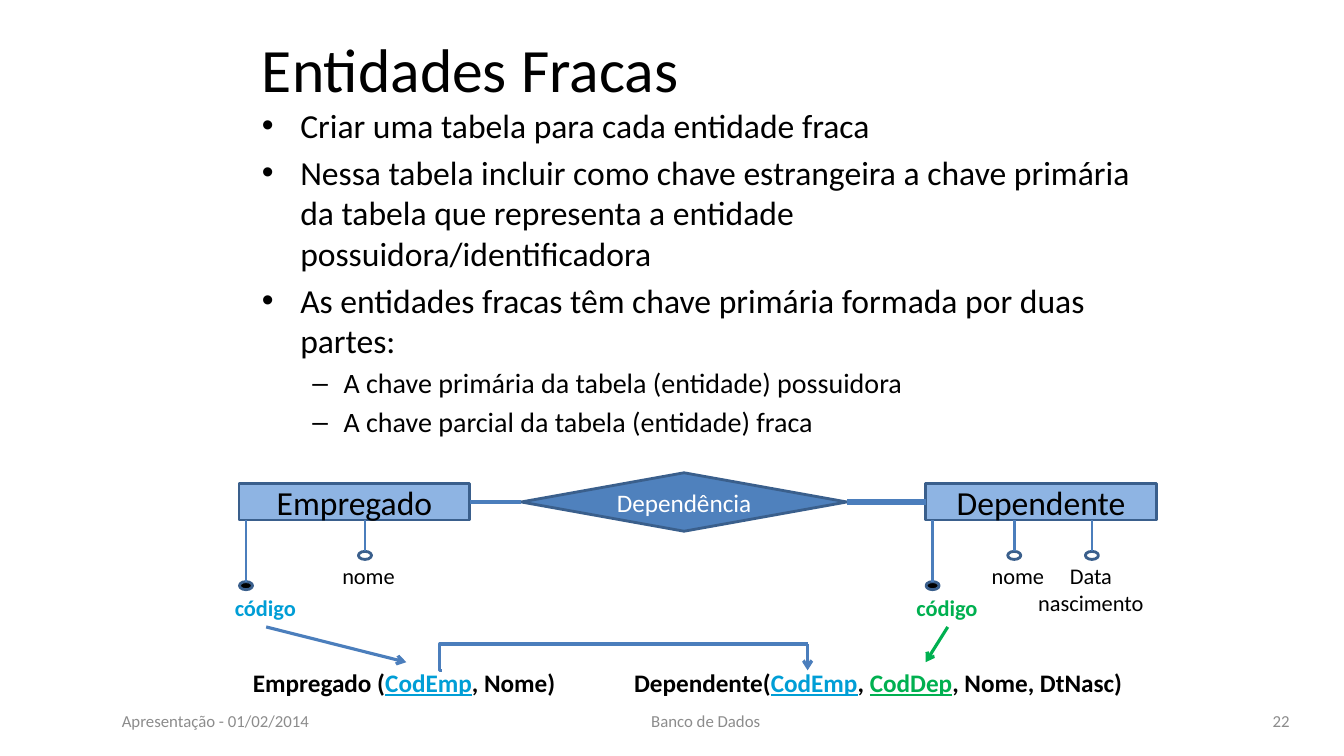
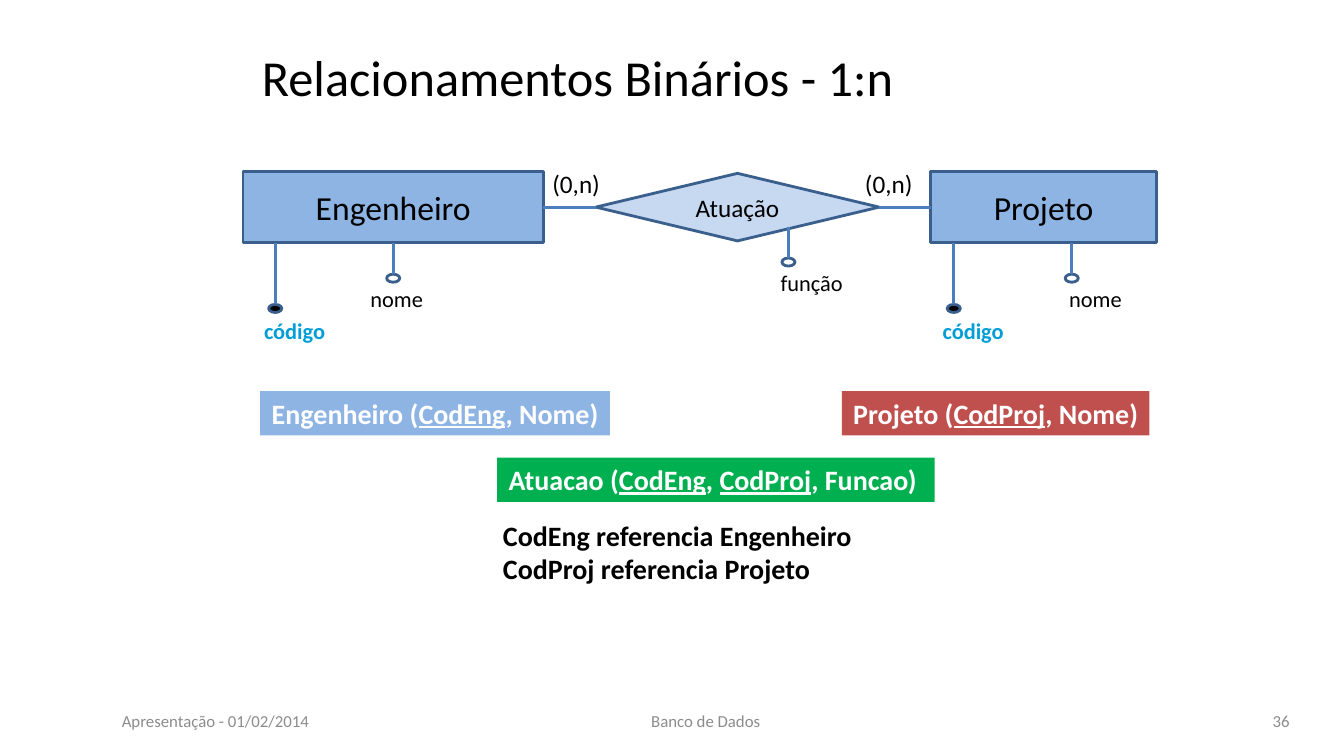
from dataclasses import dataclass

from lxml import etree
from pptx import Presentation
from pptx.dml.color import RGBColor
from pptx.enum.shapes import MSO_CONNECTOR, MSO_SHAPE
from pptx.enum.text import MSO_ANCHOR, MSO_AUTO_SIZE, PP_ALIGN
from pptx.oxml.ns import qn
from pptx.util import Inches, Pt

LEFT, CENTER, RIGHT = PP_ALIGN.LEFT, PP_ALIGN.CENTER, PP_ALIGN.RIGHT
MIDDLE, TOP = MSO_ANCHOR.MIDDLE, MSO_ANCHOR.TOP
RECT, DIAMOND = MSO_SHAPE.RECTANGLE, MSO_SHAPE.DIAMOND
DECISION, DOT = MSO_SHAPE.FLOWCHART_DECISION, MSO_SHAPE.FLOWCHART_CONNECTOR
STRAIGHT, ELBOW = MSO_CONNECTOR.STRAIGHT, MSO_CONNECTOR.ELBOW
FIT_TEXT = MSO_AUTO_SIZE.SHAPE_TO_FIT_TEXT
SITE_TOP, SITE_LEFT, SITE_RIGHT = 0, 1, 3


@dataclass(frozen=True)
class Theme:
    font: str = "Calibri"
    black: str = "000000"
    white: str = "FFFFFF"
    gray: str = "8C8C8C"
    entity: str = "8EB4E3"
    relation: str = "4F81BD"
    pale: str = "C6D9F1"
    outline: str = "3A5F8C"
    link: str = "4B7EBC"
    key: str = "009ED6"
    green: str = "00B050"
    red: str = "C0504D"
    title_size: int = 44
    long_title_size: int = 36
    body_size: int = 24
    sub_size: int = 20
    label_size: int = 18
    attribute_size: int = 16
    footer_size: int = 12
    thin: float = 2
    medium: float = 2.25
    thick: float = 4.5


class Deck:
    def __init__(self, theme):
        self.t = theme
        self.prs = Presentation()
        self.prs.slide_width = Inches(13.33)
        self.prs.slide_height = Inches(7.5)
        self.s = None

    def new_slide(self, title, number, box, size):
        self.s = self.prs.slides.add_slide(self.prs.slide_layouts[6])
        self.text(box, [title], size, anchor=MIDDLE, wrap=True)
        footers = [(1.11, 3.11, "Apresentação - 01/02/2014", LEFT),
                   (4.89, 4.22, "Banco de Dados", CENTER),
                   (9.78, 3.11, str(number), RIGHT)]
        for x, w, words, align in footers:
            self.text((x, 6.95, w, 0.4), [words], self.t.footer_size, self.t.gray,
                      align=align, anchor=MIDDLE, wrap=True)

    def add_run(self, p, words, size, color):
        r = p.add_run()
        r.text = words
        r.font.name = self.t.font
        r.font.size = Pt(size)
        r.font.color.rgb = RGBColor.from_string(color)
        return r

    def fill_text(self, tf, paragraphs, size, color, bold=False, align=LEFT):
        """A paragraph is a string or a list of runs; a (text, color) run is underlined."""
        for i, runs in enumerate(paragraphs):
            p = tf.paragraphs[0] if i == 0 else tf.add_paragraph()
            p.alignment = align
            for run in [runs] if isinstance(runs, str) else runs:
                plain = isinstance(run, str)
                words, run_color = (run, color) if plain else run
                r = self.add_run(p, words, size, run_color)
                r.font.bold = bold
                r.font.underline = not plain

    def text(self, box, paragraphs, size, color=None, bold=False, align=LEFT,
             anchor=TOP, wrap=False):
        tf = self.s.shapes.add_textbox(*map(Inches, box)).text_frame
        tf.word_wrap = wrap
        tf.vertical_anchor = anchor
        if not wrap:
            tf.auto_size = FIT_TEXT
        self.fill_text(tf, paragraphs, size, color or self.t.black, bold, align)
        return tf

    def bullets(self, box, items):
        """Each item is (level, text)."""
        levels = [(self.t.body_size, "•", 0.38, -0.38),
                  (self.t.sub_size, "–", 0.81, -0.31)]
        tf = self.text(box, [], self.t.body_size, wrap=True)
        for i, (level, words) in enumerate(items):
            size, mark, margin, indent = levels[level]
            p = tf.paragraphs[0] if i == 0 else tf.add_paragraph()
            p.level = level
            p.space_before = Pt(size * 0.2)
            self.add_run(p, words, size, self.t.black)
            pPr = p._p.get_or_add_pPr()
            pPr.set("marL", str(Inches(margin)))
            pPr.set("indent", str(Inches(indent)))
            etree.SubElement(pPr, qn("a:buFont")).set("typeface", "Arial")
            etree.SubElement(pPr, qn("a:buChar")).set("char", mark)

    def shape(self, kind, box, fill=None, outlined=True):
        sp = self.s.shapes.add_shape(kind, *map(Inches, box))
        sp.shadow.inherit = False
        if fill:
            sp.fill.solid()
            sp.fill.fore_color.rgb = RGBColor.from_string(fill)
        else:
            sp.fill.background()
        if outlined:
            sp.line.color.rgb = RGBColor.from_string(self.t.outline)
            sp.line.width = Pt(self.t.thin)
        else:
            sp.line.fill.background()
        sp.text_frame.vertical_anchor = MIDDLE
        return sp

    def entity(self, box, name):
        sp = self.shape(RECT, box, self.t.entity)
        self.fill_text(sp.text_frame, [name], self.t.body_size, self.t.black, align=CENTER)
        return sp

    def relationship(self, kind, box, name, fill, color):
        sp = self.shape(kind, box, fill)
        self.fill_text(sp.text_frame, [name], self.t.label_size, color, align=CENTER)
        return sp

    def bar(self, box, runs, fill):
        tf = self.shape(RECT, box, fill, outlined=False).text_frame
        tf.word_wrap = False
        tf.vertical_anchor = TOP
        self.fill_text(tf, [runs], self.t.sub_size, self.t.white, bold=True, align=CENTER)

    def line(self, start, end, color=None, width=None, arrow=False, kind=STRAIGHT):
        c = self.s.shapes.add_connector(kind, *map(Inches, (*start, *end)))
        c.line.color.rgb = RGBColor.from_string(color or self.t.link)
        c.line.width = Pt(width or self.t.thin)
        spPr = c.element.spPr
        if arrow:
            etree.SubElement(spPr.find(qn("a:ln")), qn("a:tailEnd")).set("type", "arrow")
        etree.SubElement(spPr, qn("a:effectLst"))
        return c

    def elbow(self, start, end, bend):
        """Bent line whose vertical leg lies at the given fraction of its width."""
        c = self.line(start, end, width=self.t.medium, kind=ELBOW)
        av = c.element.spPr.find(qn("a:prstGeom")).get_or_add_avLst()
        gd = etree.SubElement(av, qn("a:gd"))
        gd.set("name", "adj1")
        gd.set("fmla", f"val {round(bend * 100000)}")

    def join(self, left, right, width=None):
        c = self.line((0, 0), (1, 1), width=width)
        c.begin_connect(left, SITE_RIGHT)
        c.end_connect(right, SITE_LEFT)

    def attribute(self, x, y, lines, dx=-0.33, w=0.73):
        """Stem, hollow dot and label; dx shifts the label from the stem."""
        self.pin(x, y, 0.31)
        self.text((x + dx, y + 0.37, w, 0.37 * len(lines)), lines,
                  self.t.attribute_size, align=CENTER)

    def key_attribute(self, x, y, color, dx=-0.21):
        self.pin(x, y, 0.61, self.t.black)
        self.text((x + dx, y + 0.69, 0.82, 0.37), ["código"],
                  self.t.attribute_size, color, bold=True)

    def pin(self, x, y, length, fill=None):
        """Stem that ends in a dot."""
        dot = self.shape(DOT, (x - 0.065, y + length, 0.13, 0.08), fill)
        self.line((x, y), (x, y + length)).end_connect(dot, SITE_TOP)


def weak_entities(d):
    t = d.t
    d.new_slide("Entidades Fracas", 22, (2.5, 0.05, 8.83, 1.25), t.title_size)
    d.bullets((2.5, 0.99, 8.83, 3.62), [
        (0, "Criar uma tabela para cada entidade fraca"),
        (0, "Nessa tabela incluir como chave estrangeira a chave primária da tabela "
            "que representa a entidade possuidora/identificadora"),
        (0, "As entidades fracas têm chave primária formada por duas partes:"),
        (1, "A chave primária da tabela (entidade) possuidora"),
        (1, "A chave parcial da tabela (entidade) fraca"),
    ])

    employee = d.entity((2.37, 4.8, 2.29, 0.36), "Empregado")
    dependent = d.entity((9.18, 4.8, 2.29, 0.36), "Dependente")
    dependency = d.relationship(DIAMOND, (5.17, 4.69, 3.23, 0.58), "Dependência",
                                t.relation, t.white)
    d.join(employee, dependency, t.medium)
    d.join(dependency, dependent, t.thick)

    base = 5.16
    d.key_attribute(2.44, base, t.key)
    d.attribute(3.62, base, ["nome"])
    d.key_attribute(9.25, base, t.green, dx=-0.26)
    d.attribute(10.06, base, ["nome"])
    d.attribute(10.83, base, ["Data", "nascimento"], dx=-0.64, w=1.26)

    d.text((2.41, 6.57, 3.22, 0.4), [["Empregado (", ("CodEmp", t.key), ", Nome)"]],
           t.label_size, bold=True)
    d.text((6.19, 6.57, 5.08, 0.4),
           [["Dependente(", ("CodEmp", t.key), ", ", ("CodDep", t.green),
             ", Nome, DtNasc)"]], t.label_size, bold=True)
    d.elbow((4.38, 6.65), (8.01, 6.39), -0.005)
    for start, end, color in [((8.01, 6.39), (8.01, 6.65), t.link),
                              ((9.4, 6.22), (9.18, 6.57), t.green),
                              ((2.64, 6.22), (4.03, 6.57), t.link)]:
        d.line(start, end, color, t.medium, arrow=True)


def binary_relationships(d):
    t = d.t
    d.new_slide("Relacionamentos Binários - 1:n", 36, (2.5, 0.29, 8.83, 0.94),
                t.long_title_size)
    engineer = d.entity((2.41, 1.7, 2.98, 0.71), "Engenheiro")
    project = d.entity((9.23, 1.7, 2.24, 0.71), "Projeto")
    work = d.relationship(DECISION, (5.91, 1.72, 2.81, 0.67), "Atuação", t.pale, t.black)
    d.join(engineer, work)
    d.join(work, project)
    for x in (5.38, 8.48):
        d.text((x, 1.62, 0.68, 0.4), ["(0,n)"], t.label_size)

    base = 2.41
    for x, name_dx in ((2.73, -0.33), (9.46, -0.13)):
        d.key_attribute(x, base, t.key)
        d.attribute(x + 1.17, base, ["nome"], dx=name_dx)
    d.attribute(7.82, 2.25, ["função"], dx=-0.18, w=0.82)

    d.bar((2.58, 3.88, 3.47, 0.44),
          ["Engenheiro (", ("CodEng", t.white), ", Nome)"], t.entity)
    d.bar((8.35, 3.88, 3.05, 0.44),
          ["Projeto (", ("CodProj", t.white), ", Nome)"], t.red)
    d.bar((4.93, 4.54, 4.34, 0.44),
          ["Atuacao (", ("CodEng", t.white), ", ", ("CodProj", t.white), ", Funcao) "],
          t.green)
    d.text((4.89, 5.09, 5.53, 0.77),
           ["CodEng referencia Engenheiro", "CodProj referencia Projeto"],
           t.sub_size, bold=True, wrap=True)


def main():
    d = Deck(Theme())
    weak_entities(d)
    binary_relationships(d)
    d.prs.save("out.pptx")


if __name__ == "__main__":
    main()
